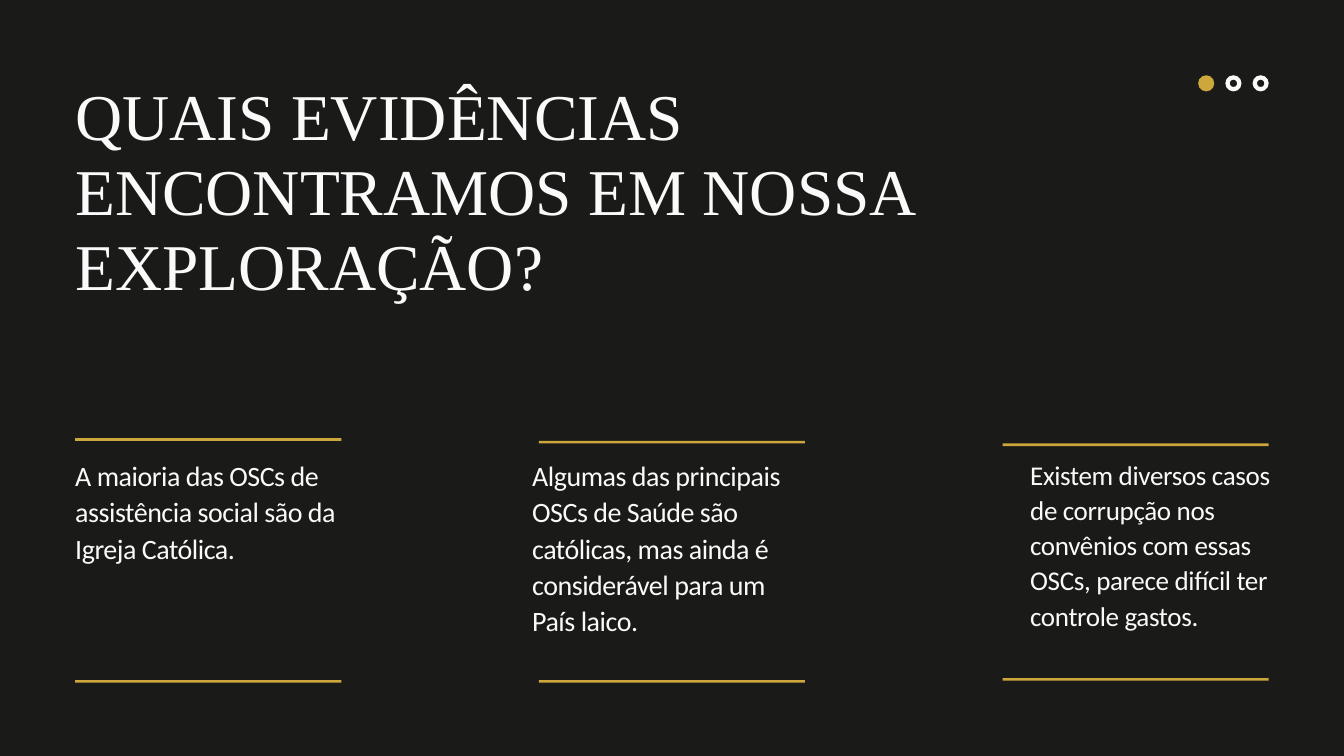
import pptx
import pptx.util
import pptx.dml.color
import pptx.enum.shapes
import pptx.enum.text

Inches = pptx.util.Inches
Pt = pptx.util.Pt
RGBColor = pptx.dml.color.RGBColor
Shape = pptx.enum.shapes.MSO_SHAPE

DARK = RGBColor(0x1A, 0x1B, 0x18)
WHITE = RGBColor(0xFA, 0xFA, 0xFA)
GOLD = RGBColor(0xCD, 0xA6, 0x3C)

LEFT = 1.12
COLUMN_STEP = 6.9
RULE_WIDTH = 3.96
TEXT_TOP = 6.78
DOT_SIZE = 0.24

# top rule, bottom rule, text left, text width, text height, size, leading, tracking, text
FINDINGS = [
    (6.52, 10.12, 1.12, 3.96, 1.7, 30, 39, -0.5,
     "A maioria das OSCs de assistência social são da Igreja Católica."),
    (6.56, 10.12, 7.92, 4.16, 3.24, 30, 39, -0.5,
     "Algumas das principais OSCs de Saúde são católicas, mas ainda é "
     "considerável para um País laico."),
    (6.6, 10.09, 15.33, 3.96, 3.71, 29, 37.7, -0.4,
     "Existem diversos casos de corrupção nos convênios com essas OSCs, "
     "parece difícil ter controle gastos."),
]


def write_text(shape, text, font_name, size, leading, tracking=0):
    """Fill a shape with one left-aligned paragraph; tracking is in points."""
    frame = shape.text_frame
    frame.word_wrap = True
    frame.auto_size = pptx.enum.text.MSO_AUTO_SIZE.NONE
    frame.vertical_anchor = pptx.enum.text.MSO_ANCHOR.TOP
    frame.margin_left = frame.margin_right = 0
    frame.margin_top = frame.margin_bottom = 0
    para = frame.paragraphs[0]
    para.alignment = pptx.enum.text.PP_ALIGN.LEFT
    para.line_spacing = Pt(leading)
    para.space_before = Pt(0)
    span = para.add_run()
    span.text = text
    if tracking:
        span._r.get_or_add_rPr().set("spc", str(round(tracking * 100)))
    para.font.name = font_name
    para.font.size = Pt(size)
    para.font.color.rgb = WHITE


def add_title(slide, text):
    title = slide.shapes.title
    title.left, title.top = Inches(LEFT), Inches(1.17)
    title.width, title.height = Inches(13.6), Inches(3.36)
    write_text(title, text, "Times New Roman", 70, 80.5)


def add_filled_shape(slide, kind, left, top, width, height, color):
    shape = slide.shapes.add_shape(
        kind, Inches(left), Inches(top), Inches(width), Inches(height))
    shape.shadow.inherit = False
    shape.fill.solid()
    shape.fill.fore_color.rgb = color
    shape.line.fill.background()
    return shape


def add_progress_dots(slide):
    dots = [(Shape.OVAL, GOLD), (Shape.DONUT, WHITE), (Shape.DONUT, WHITE)]
    for index, (kind, color) in enumerate(dots):
        dot = add_filled_shape(slide, kind, 17.83 + 0.405 * index, 1.12,
                               DOT_SIZE, DOT_SIZE, color)
        if kind == Shape.DONUT:
            dot.adjustments[0] = 0.27


def add_findings(slide):
    for index, finding in enumerate(FINDINGS):
        (top_rule, bottom_rule, left, width, height,
         size, leading, tracking, text) = finding
        for top in (top_rule, bottom_rule):
            add_filled_shape(slide, Shape.RECTANGLE, LEFT + COLUMN_STEP * index,
                             top, RULE_WIDTH, 0.04, GOLD)
        box = slide.shapes.add_textbox(
            Inches(left), Inches(TEXT_TOP), Inches(width), Inches(height))
        write_text(box, text, "Calibri", size, leading, tracking)


def main():
    deck = pptx.Presentation()
    deck.slide_width, deck.slide_height = Inches(20), Inches(11.25)
    slide = deck.slides.add_slide(deck.slide_layouts.get_by_name("Title Only"))
    slide.background.fill.solid()
    slide.background.fill.fore_color.rgb = DARK
    add_progress_dots(slide)
    add_title(slide, "QUAIS EVIDÊNCIAS ENCONTRAMOS EM NOSSA EXPLORAÇÃO?")
    add_findings(slide)
    deck.save("out.pptx")


if __name__ == "__main__":
    main()
